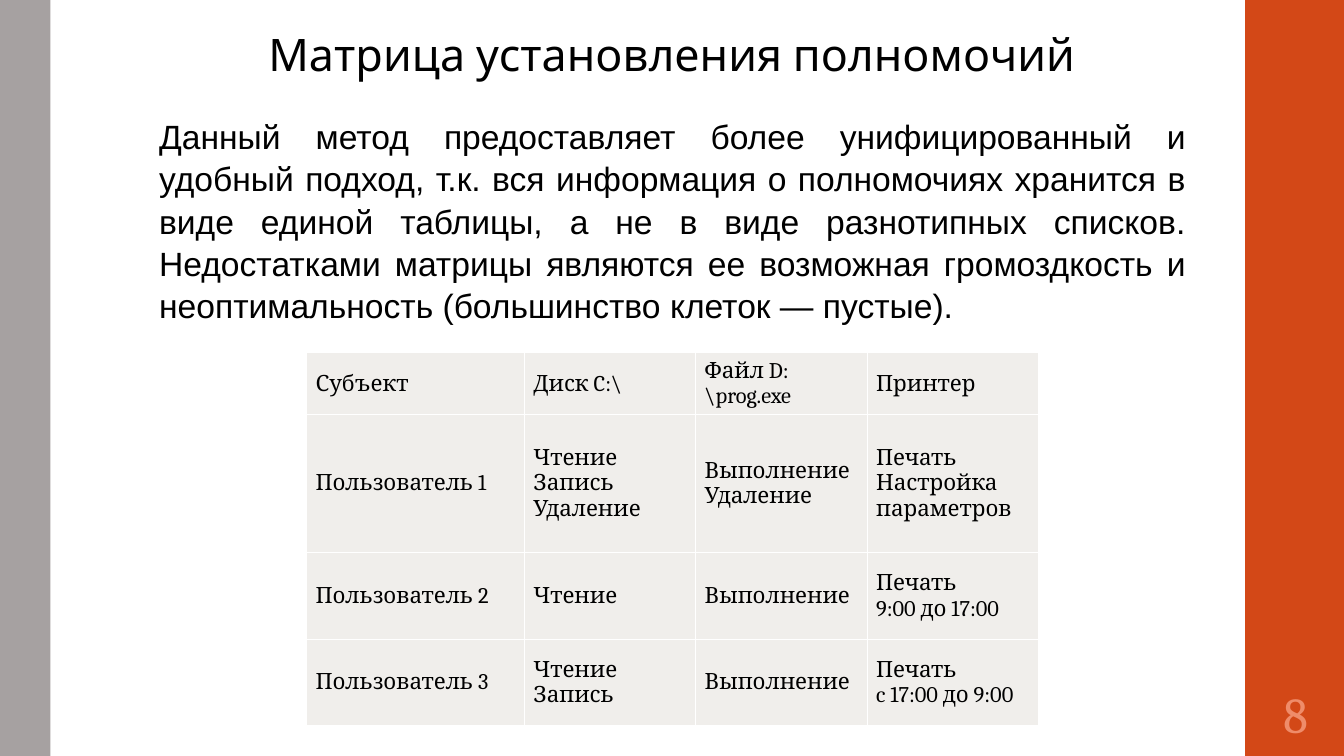
from pptx import Presentation
from pptx.dml.color import RGBColor
from pptx.enum.shapes import MSO_SHAPE
from pptx.enum.text import MSO_ANCHOR as ANCHOR, PP_ALIGN as ALIGN
from pptx.oxml import parse_xml
from pptx.oxml.ns import nsdecls
from pptx.util import Pt

PX = 9144  # 100 px to the inch
COLORS = {"orange": "D34817", "gray": "A6A1A1", "number": "EF8C6A",
          "text": "000000", "cell": "F0EEEB", "border": "FFFFFF"}


def rgb(name):
    return RGBColor.from_string(COLORS[name])


def write(tf, text, size, font, color="text", align=ALIGN.LEFT, anchor=ANCHOR.MIDDLE):
    tf.text = text
    tf.word_wrap = True
    tf.vertical_anchor = anchor
    for p in tf.paragraphs:
        p.alignment = align
        for r in p.runs:
            r.font.size = Pt(size)
            r.font.name = font
            r.font.color.rgb = rgb(color)


prs = Presentation()
prs.slide_width, prs.slide_height = 1333 * PX, 750 * PX
s = prs.slides.add_slide(prs.slide_layouts[5])

# Side bands
for left, width, color in [(1235, 100, "orange"), (0, 50, "gray")]:
    width = min(width, 1333 - left)
    sp = s.shapes.add_shape(MSO_SHAPE.RECTANGLE, left * PX, 0, width * PX, 750 * PX)
    sp.shadow.inherit = False
    sp.fill.solid()
    sp.fill.fore_color.rgb = rgb(color)
    sp.line.fill.background()

# Title
title = s.shapes.title
title.left, title.top, title.width, title.height = 0, 21 * PX, 1333 * PX, 64 * PX
write(title.text_frame, "Матрица установления полномочий", 32, "Karla",
      align=ALIGN.CENTER)

# Slide number
number = s.shapes.add_textbox(1235 * PX, 675 * PX, 100 * PX, 65 * PX)
tf = number.text_frame
tf.margin_left = tf.margin_right = tf.margin_top = tf.margin_bottom = 5 * PX
write(tf, "8", 36, "Cambria", "number", ALIGN.CENTER)

# Description
body = s.shapes.add_textbox(148 * PX, 108 * PX, 1038 * PX, 212 * PX)
write(body.text_frame,
      "Данный метод предоставляет более унифицированный и удобный подход, "
      "т.к. вся информация о полномочиях хранится в виде единой таблицы, "
      "а не в виде разнотипных списков. Недостатками матрицы являются ее "
      "возможная громоздкость и неоптимальность (большинство клеток — пустые).",
      24, "Arial", align=ALIGN.JUSTIFY, anchor=ANCHOR.TOP)
body.text_frame.paragraphs[0].line_spacing = 1.05

# Permission matrix
rights = [
    ["Субъект", "Диск C:\\", "Файл D:\\prog.exe", "Принтер"],
    ["Пользователь 1", "Чтение\nЗапись\nУдаление", "Выполнение\nУдаление",
     "Печать\nНастройка параметров"],
    ["Пользователь 2", "Чтение", "Выполнение", "Печать\n9:00 до 17:00"],
    ["Пользователь 3", "Чтение\nЗапись", "Выполнение", "Печать\nc 17:00 до 9:00"],
]
col_widths = [216, 170, 170, 170]
row_heights = [61, 137, 86, 86]
table = s.shapes.add_table(4, 4, 304 * PX, 350 * PX, sum(col_widths) * PX,
                           sum(row_heights) * PX).table
for col, width in zip(table.columns, col_widths):
    col.width = width * PX
for row, height, texts in zip(table.rows, row_heights, rights):
    row.height = height * PX
    for cell, text in zip(row.cells, texts):
        write(cell.text_frame, text, 16, "Cambria")
        cell.vertical_anchor = ANCHOR.MIDDLE
        cell.margin_left = cell.margin_right = 9 * PX
        cell.margin_top = cell.margin_bottom = 4 * PX
        cell.fill.solid()
        cell.fill.fore_color.rgb = rgb("cell")
        # Borders go ahead of the fill in the cell properties
        tc_pr = cell._tc.get_or_add_tcPr()
        for i, side in enumerate(["lnL", "lnR", "lnT", "lnB"]):
            tc_pr.insert(i, parse_xml(
                f'<a:{side} {nsdecls("a")} w="{Pt(1)}"><a:solidFill>'
                f'<a:srgbClr val="{COLORS["border"]}"/></a:solidFill></a:{side}>'))

prs.save("out.pptx")
